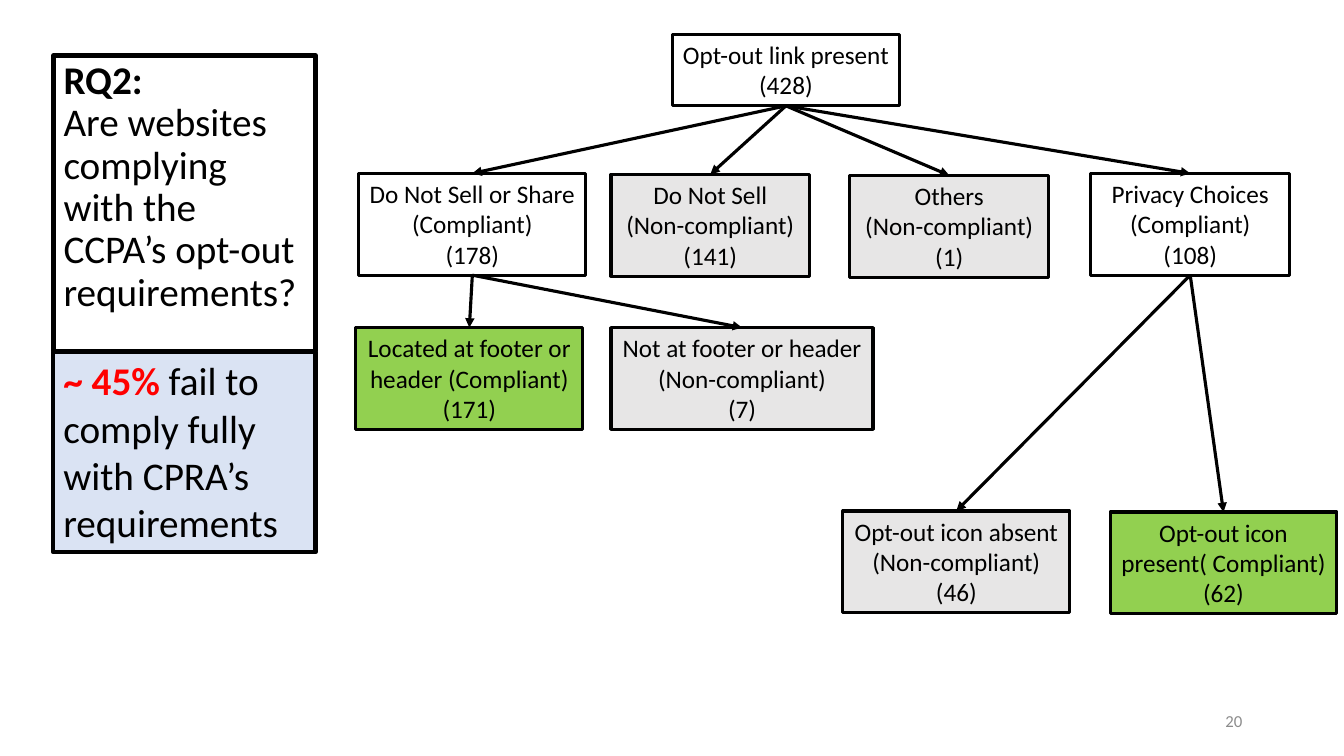
from lxml.etree import SubElement
from pptx import Presentation
from pptx.dml.color import RGBColor
from pptx.enum.shapes import MSO_CONNECTOR, MSO_SHAPE
from pptx.enum.text import MSO_ANCHOR, MSO_AUTO_SIZE, PP_ALIGN
from pptx.oxml.ns import qn
from pptx.util import Inches, Pt

BLACK = RGBColor(0x00, 0x00, 0x00)
RED = RGBColor(0xFF, 0x00, 0x00)
GREEN = RGBColor(0x92, 0xD0, 0x50)
GREY = RGBColor(0xE7, 0xE6, 0xE6)
PALE_BLUE = RGBColor(0xDA, 0xE3, 0xF3)
NUMBER_GREY = RGBColor(0x8C, 0x8C, 0x8C)
FONT = "Calibri"

QUESTION = ("RQ2: ", "Are websites complying with the CCPA’s opt-out requirements?")
ANSWER = ("~ 45% ", "fail to comply fully with CPRA’s requirements")
PAGE_NUMBER = "20"

# key: (lines, left, top, width, height, fill)
NODES = {
    "link": (["Opt-out link present", "(428)"], 6.67, 0.34, 2.25, 0.71, None),
    "sell or share": (["Do Not Sell or Share", "(Compliant)", "(178)"],
                      3.56, 1.72, 2.25, 1.01, None),
    "sell": (["Do Not Sell", "(Non-compliant)", "(141)"], 6.06, 1.73, 1.97, 1.01, GREY),
    "others": (["Others", "(Non-compliant)", "(1)"], 8.43, 1.74, 1.97, 1.01, GREY),
    "choices": (["Privacy Choices", "(Compliant)", "(108)"], 10.82, 1.72, 1.97, 1.01, None),
    "footer": (["Located at footer or header (Compliant)", "(171)"],
               3.53, 3.25, 2.25, 1.01, GREEN),
    "not footer": (["Not at footer or header (Non-compliant)", "(7)"],
                   6.06, 3.25, 2.6, 1.01, GREY),
    "icon absent": (["Opt-out icon absent (Non-compliant)", "(46)"],
                    8.36, 5.07, 2.25, 1.01, GREY),
    "icon present": (["Opt-out icon present( Compliant)", "(62)"],
                     11.01, 5.08, 2.25, 1.01, GREEN),
}
BRANCHES = {
    "link": ["sell or share", "sell", "others", "choices"],
    "sell or share": ["footer", "not footer"],
    "choices": ["icon absent", "icon present"],
}


def style_font(font, size, color=BLACK, bold=False):
    font.name, font.size, font.bold = FONT, Pt(size), bold
    font.color.rgb = color


def style_box(box, fill, line_width):
    if fill is None:
        box.fill.background()
    else:
        box.fill.solid()
        box.fill.fore_color.rgb = fill
    box.line.color.rgb = BLACK
    box.line.width = Pt(line_width)


def add_box(slide, left, top, width, height, fill, line_width):
    box = slide.shapes.add_shape(MSO_SHAPE.RECTANGLE, Inches(left), Inches(top),
                                 Inches(width), Inches(height))
    box.shadow.inherit = False
    style_box(box, fill, line_width)
    box.text_frame.word_wrap = True
    box.text_frame.vertical_anchor = MSO_ANCHOR.TOP
    return box


def write_statement(box, parts, lead_color, separator=""):
    """Fill a left-hand box with a bold lead and its plain continuation."""
    paragraph = box.text_frame.paragraphs[0]
    paragraph.alignment = PP_ALIGN.LEFT
    for position, part in enumerate(parts):
        if position and separator:
            paragraph.add_line_break()
        run = paragraph.add_run()
        run.text = part
        style_font(run.font, 28, BLACK if position else lead_color, bold=not position)
    return paragraph


def add_node(slide, lines, left, top, width, height, fill):
    node = add_box(slide, left, top, width, height, fill, 2.25)
    node.text_frame.text = "\n".join(lines)
    for paragraph in node.text_frame.paragraphs:
        paragraph.alignment = PP_ALIGN.CENTER
        style_font(paragraph.runs[0].font, 18)
    return node


def add_arrow(slide, parent, child):
    arrow = slide.shapes.add_connector(MSO_CONNECTOR.STRAIGHT, 0, 0, 0, 0)
    arrow.begin_connect(parent, 2)
    arrow.end_connect(child, 0)
    arrow.line.color.rgb = BLACK
    arrow.line.width = Pt(2.25)
    SubElement(arrow.line._get_or_add_ln(), qn("a:tailEnd"), type="triangle")
    SubElement(arrow._element.spPr, qn("a:effectLst"))


def main():
    prs = Presentation()
    prs.slide_width, prs.slide_height = Inches(13.33), Inches(7.5)
    slide = prs.slides.add_slide(prs.slide_layouts[5])

    question = slide.shapes.title
    question.left, question.top = Inches(0.53), Inches(0.55)
    question.width, question.height = Inches(2.6), Inches(2.93)
    style_box(question, None, 3)
    question.text_frame.word_wrap = True
    question.text_frame.auto_size = MSO_AUTO_SIZE.NONE
    question.text_frame.vertical_anchor = MSO_ANCHOR.TOP
    write_statement(question, QUESTION, BLACK, separator="\v").line_spacing = 0.9

    answer = add_box(slide, 0.53, 3.49, 2.6, 1.99, PALE_BLUE, 3)
    write_statement(answer, ANSWER, RED)

    nodes = {key: add_node(slide, *node) for key, node in NODES.items()}
    for parent, children in BRANCHES.items():
        for child in children:
            add_arrow(slide, nodes[parent], nodes[child])

    number = slide.shapes.add_textbox(Inches(9.42), Inches(6.95), Inches(3), Inches(0.4))
    number.text_frame.word_wrap = True
    number.text_frame.vertical_anchor = MSO_ANCHOR.MIDDLE
    number.text_frame.text = PAGE_NUMBER
    number.text_frame.paragraphs[0].alignment = PP_ALIGN.RIGHT
    style_font(number.text_frame.paragraphs[0].runs[0].font, 12, NUMBER_GREY)

    prs.save("out.pptx")


if __name__ == "__main__":
    main()
